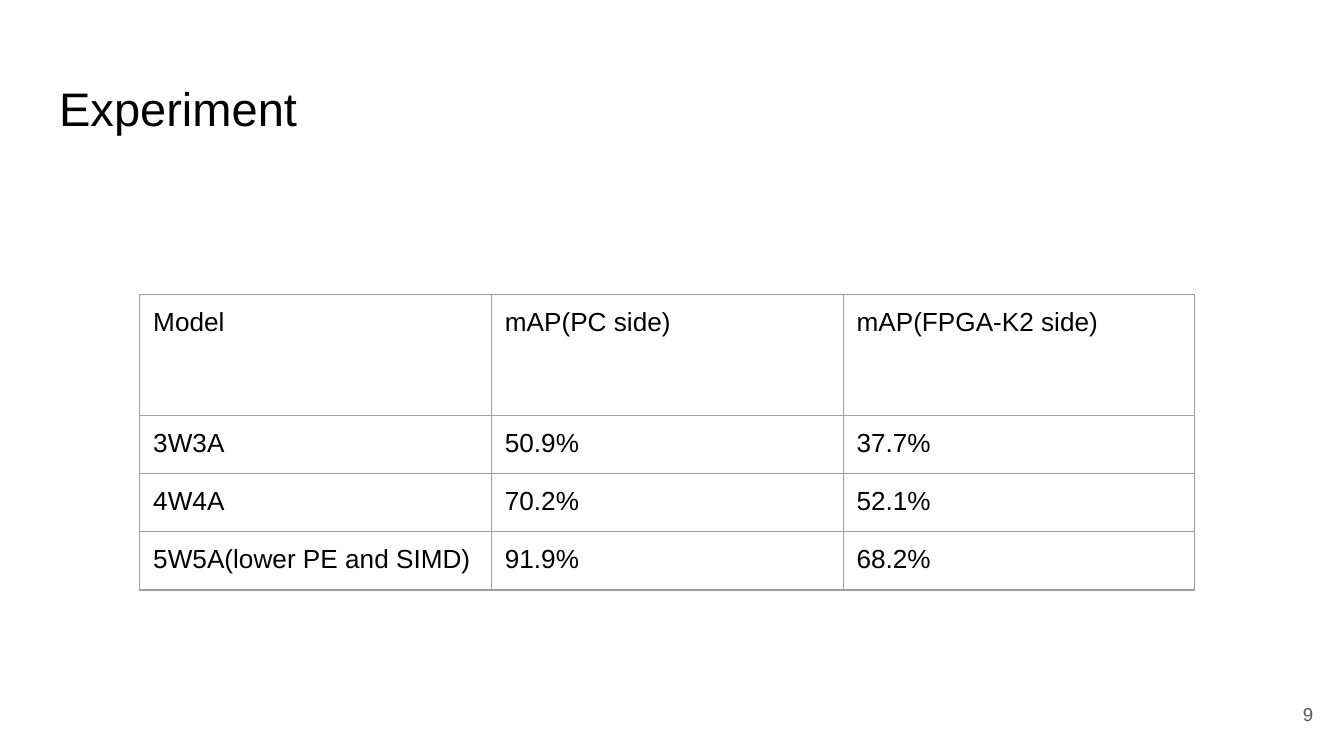
from lxml.etree import SubElement
from pptx import Presentation
from pptx.dml.color import RGBColor
from pptx.enum.text import MSO_ANCHOR, MSO_AUTO_SIZE, PP_ALIGN
from pptx.oxml.ns import qn
from pptx.util import Inches, Pt

BLACK = RGBColor(0x00, 0x00, 0x00)
GRAY = RGBColor(0x59, 0x59, 0x59)
BORDER = RGBColor(0x9E, 0x9E, 0x9E)
INSET = Inches(0.1)

ROWS = [
    ("Model", "mAP(PC side)", "mAP(FPGA-K2 side)"),
    ("3W3A", "50.9%", "37.7%"),
    ("4W4A", "70.2%", "52.1%"),
    ("5W5A(lower PE and SIMD)", "91.9%", "68.2%"),
]
TABLE_HEIGHT = 2.2
HEADER_HEIGHT = 0.9
BODY_HEIGHT = (TABLE_HEIGHT - HEADER_HEIGHT) / (len(ROWS) - 1)


def format_text(box, text, size, color, align=PP_ALIGN.LEFT):
    """Fill a text frame or table cell with one evenly inset paragraph."""
    box.margin_left = box.margin_right = INSET
    box.margin_top = box.margin_bottom = INSET
    tf = getattr(box, "text_frame", box)
    tf.text = text
    p = tf.paragraphs[0]
    p.alignment = align
    font = p.runs[0].font
    font.name = "Arial"
    font.size = Pt(size)
    font.color.rgb = color


def add_borders(cell):
    tcPr = cell._tc.get_or_add_tcPr()
    for i, side in enumerate(("lnL", "lnR", "lnT", "lnB")):
        ln = SubElement(tcPr, qn(f"a:{side}"), w=str(Pt(0.75)))
        fill = SubElement(ln, qn("a:solidFill"))
        SubElement(fill, qn("a:srgbClr"), val=str(BORDER))
        tcPr.insert(i, ln)  # borders come before the cell fill


prs = Presentation()
prs.slide_width = Inches(10)
prs.slide_height = Inches(10 * 9 / 16)
s = prs.slides.add_slide(prs.slide_layouts[5])

# Title
title = s.shapes.title
title.left, title.top = Inches(0.34), Inches(0.49)
title.width, title.height = Inches(9.32), Inches(0.63)
tf = title.text_frame
tf.auto_size = MSO_AUTO_SIZE.NONE
tf.vertical_anchor = MSO_ANCHOR.TOP
format_text(tf, "Experiment", 25.2, BLACK)

# Results table
table = s.shapes.add_table(
    len(ROWS), len(ROWS[0]),
    Inches(1.04), Inches(2.19), Inches(7.85), Inches(TABLE_HEIGHT),
).table
table.first_row = False
table.horz_banding = False
for r, values in enumerate(ROWS):
    table.rows[r].height = Inches(BODY_HEIGHT if r else HEADER_HEIGHT)
    for c, value in enumerate(values):
        cell = table.cell(r, c)
        cell.fill.background()
        add_borders(cell)
        format_text(cell, value, 14, BLACK)

# Slide number
number = s.shapes.add_textbox(Inches(9.27), Inches(5.1), Inches(0.6), Inches(0.43))
tf = number.text_frame
tf.word_wrap = True
tf.vertical_anchor = MSO_ANCHOR.MIDDLE
format_text(tf, "9", 10, GRAY, PP_ALIGN.RIGHT)

prs.save("out.pptx")
